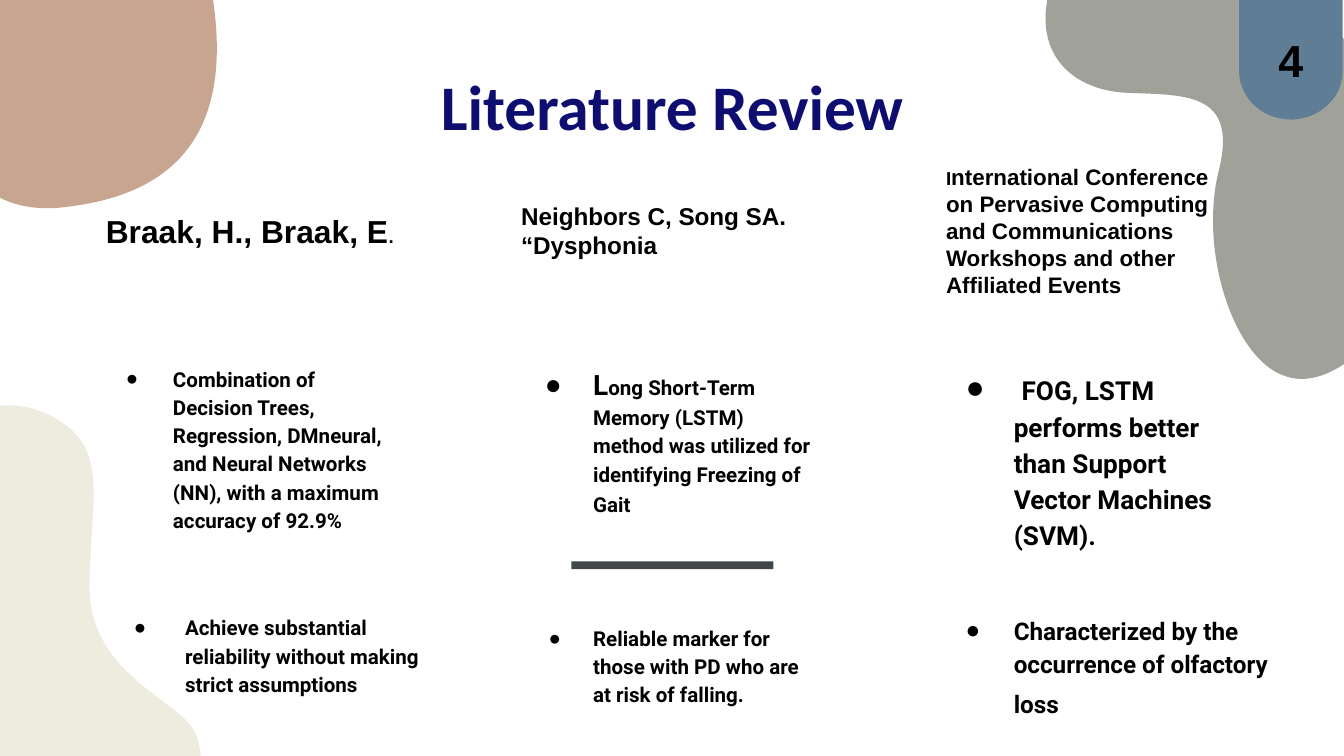
"""Build the literature review slide: three papers, each with a heading and findings."""
from dataclasses import dataclass
from math import cos, radians, sin

from lxml.etree import SubElement
from pptx import Presentation
from pptx.dml.color import RGBColor
from pptx.enum.shapes import MSO_SHAPE as Shape
from pptx.enum.text import MSO_ANCHOR as Anchor, MSO_AUTO_SIZE as AutoSize, PP_ALIGN as Align
from pptx.oxml.ns import qn
from pptx.util import Cm, Pt

Point = tuple[float, float]
UNITS = 1000
SCALE = Cm(2.54) / UNITS


@dataclass
class Run:
    text: str
    size: float
    bold: bool = True


@dataclass
class Box:
    x: float
    y: float
    w: float
    h: float
    runs: list[Run]
    hang: float = 0


@dataclass
class Outline:
    fill: str
    start: Point
    segments: list[tuple[Point, ...]]
    rotation: float = 0
    centre: Point = (0, 0)


BLOBS = [
    Outline("EDECDF", (1.46, 5.45), [
        ((1.35, 5.2), (0.66, 5.02), (0.67, 4.34)),
        ((0.68, 3.66), (0.84, 3.28), (0.32, 3.06)),
        ((-0.2, 2.84), (-0.59, 3.42), (-0.98, 3.32)),
        ((-1.37, 3.23), (-2.51, 3.64), (-1.68, 4.63)),
        ((-0.85, 5.61), (0.32, 6.26), (0.91, 6.2)),
        ((1.51, 6.13), (1.56, 5.71), (1.46, 5.45))], 41.1, (-0.06, 4.4)),
    Outline("A0A299", (8.38, 0.69), [
        ((8.8, 0.71), (9.22, 0.67), (9.07, 1.27)),
        ((8.92, 1.87), (9.18, 2.68), (9.57, 2.8)),
        ((9.97, 2.93), (10.31, 2.36), (10.71, 2.22)),
        ((11.11, 2.08), (11.73, 2.55), (11.89, 1.98)),
        ((12.05, 1.41), (11.55, 0.26), (10.97, 0.56)),
        ((10.39, 0.85), (10.03, 0.32), (9.63, -0.12)),
        ((9.23, -0.56), (8.17, -0.89), (7.88, -0.27)),
        ((7.6, 0.36), (7.96, 0.67), (8.38, 0.69))], 252.8, (9.82, 0.87)),
    Outline("C8A591", (0.73, -0.81), [
        ((0.66, -0.81), (0.58, -0.8), (0.5, -0.8)),
        ((-0.18, -0.72), (-0.5, -0.19), (-0.5, 0.44)),
        ((-0.4, 1.16), (-0.18, 1.55), (0.36, 1.55)),
        ((0.43, 1.55), (0.5, 1.54), (0.57, 1.53)),
        ((1.24, 1.43), (1.73, 1.05), (1.59, 0.03)),
        ((1.51, -0.56), (1.25, -0.81), (0.73, -0.81))]),
]
BADGE = Outline("5F7D95", (9.48, 0.87), [
    ((9.52, 0.88), (9.56, 0.89), (9.61, 0.89)),
    ((9.65, 0.89), (9.69, 0.88), (9.73, 0.87)),
    ((9.88, 0.82), (9.99, 0.69), (9.99, 0.53)),
    ((9.99, 0),), ((9.22, 0),), ((9.22, 0.53),),
    ((9.22, 0.69), (9.33, 0.82), (9.48, 0.87))])

HEADINGS = [
    Box(1.75, 3.51, 6.02, 1.7, [Run("Braak, H., Braak, E", 17), Run(".", 10)]),
    Box(9.6, 3.51, 6.02, 1.7, [Run("Neighbors C, Song SA. “Dysphonia", 13)]),
    Box(17.63, 3.51, 6.02, 1.7, [Run("I", 10), Run(
        "nternational Conference on Pervasive Computing and Communications "
        "Workshops and other Affiliated Events", 12)]),
]
FINDINGS = [
    Box(1.75, 6.61, 6.02, 3.48, [Run(
        "Combination of Decision Trees, Regression, DMneural, and Neural "
        "Networks (NN), with a maximum accuracy of 92.9%", 11)], 0.89),
    Box(9.69, 6.61, 6.02, 3.99, [Run("L", 15), Run(
        "ong Short-Term Memory (LSTM) method was utilized for identifying "
        "Freezing of Gait", 11), Run(" ", 12, False)], 0.91),
    Box(17.64, 6.61, 6.02, 3.99, [Run(" ", 17, False), Run(
        "FOG, LSTM performs better than Support Vector Machines (SVM).", 14)], 0.91),
    Box(1.98, 11.31, 6.63, 2.16, [Run(
        "Achieve substantial reliability without making strict assumptions", 11)], 0.97),
    Box(9.69, 11.51, 6.02, 1.96, [Run(
        "Reliable marker for those with PD who are at risk of falling.", 11)], 0.84),
    Box(17.64, 11.31, 6.63, 2.16, [Run(
        "Characterized by the occurrence of olfactory loss", 13), Run(" ", 16)], 0.91),
]


def rgb(color: str) -> RGBColor:
    """Turn a hex string into a colour."""
    return RGBColor.from_string(color)


def paint(sp, color: str) -> None:
    """Give a shape a flat fill with no line or shadow."""
    sp.shadow.inherit = False
    sp.fill.solid()
    sp.fill.fore_color.rgb = rgb(color)
    sp.line.fill.background()


def unrotate(point: Point, outline: Outline) -> Point:
    """Return a point in path units as it lies before the outline is rotated."""
    a, (cx, cy) = radians(outline.rotation), outline.centre
    dx, dy = point[0] - cx, point[1] - cy
    return ((cx + dx * cos(a) + dy * sin(a)) * UNITS,
            (cy - dx * sin(a) + dy * cos(a)) * UNITS)


def draw_outline(s, outline: Outline):
    """Draw a closed outline of straight lines and cubic curves."""
    points = [unrotate(p, outline) for segment in outline.segments for p in segment]
    builder = s.shapes.build_freeform(*unrotate(outline.start, outline), scale=SCALE)
    builder.add_line_segments(points, close=True)
    sp = builder.convert_to_shape()
    path = next(sp._element.iter(qn("a:path")))
    lines = iter(path.findall(qn("a:lnTo")))
    for segment in outline.segments:
        node = SubElement(path, qn("a:cubicBezTo" if len(segment) == 3 else "a:lnTo"))
        for _ in segment:
            line = next(lines)
            node.append(line[0])
            path.remove(line)
    path.append(path.find(qn("a:close")))
    sp.rotation = outline.rotation
    paint(sp, outline.fill)
    return sp


def place(sp, x: float, y: float, w: float, h: float) -> None:
    """Move and size a shape in centimetres."""
    sp.left, sp.top, sp.width, sp.height = Cm(x), Cm(y), Cm(w), Cm(h)


def set_frame(tf, anchor, inset: float = 0.25) -> None:
    """Set wrapping, anchor and even insets."""
    tf.word_wrap, tf.auto_size, tf.vertical_anchor = True, AutoSize.NONE, anchor
    tf.margin_left = tf.margin_right = tf.margin_top = tf.margin_bottom = Cm(inset)


def add_text(p, text: str, *, size: float, font: str = "Arial",
             color: str = "000000", bold: bool = True) -> None:
    """Add one formatted run to a paragraph."""
    r = p.add_run()
    r.text = text
    r.font.size, r.font.name, r.font.bold = Pt(size), font, bold
    r.font.color.rgb = rgb(color)


def add_bullet(p, hang: float) -> None:
    """Give a paragraph a round black bullet with a hanging indent."""
    pPr = p._p.get_or_add_pPr()
    pPr.set("marL", str(Cm(1.27)))
    pPr.set("indent", str(-Cm(hang)))
    SubElement(SubElement(pPr, qn("a:buClr")), qn("a:srgbClr")).set("val", "000000")
    SubElement(pPr, qn("a:buFont")).set("typeface", "Arial")
    SubElement(pPr, qn("a:buChar")).set("char", "●")


def draw_box(s, box: Box) -> None:
    """Draw a heading, or a bulleted finding when the box has a hanging indent."""
    sp = s.shapes.add_textbox(Cm(box.x), Cm(box.y), Cm(box.w), Cm(box.h))
    set_frame(sp.text_frame, Anchor.TOP if box.hang else Anchor.MIDDLE)
    p = sp.text_frame.paragraphs[0]
    if box.hang:
        p.line_spacing, p.space_before = 1.15, Pt(15)
        add_bullet(p, box.hang)
    else:
        p.space_before = p.space_after = Pt(8)
    for run in box.runs:
        add_text(p, run.text, size=run.size, bold=run.bold,
                 font="Roboto" if box.hang else "Arial")


def main() -> None:
    """Build and save the slide."""
    prs = Presentation()
    prs.slide_width, prs.slide_height = Cm(25.4), Cm(14.29)
    s = prs.slides.add_slide(prs.slide_layouts[5])
    for blob in BLOBS:
        draw_outline(s, blob)
    title = s.shapes.title
    place(title, 1.98, 0.7, 21.44, 2.26)
    set_frame(title.text_frame, Anchor.BOTTOM)
    p = title.text_frame.paragraphs[0]
    p.alignment = Align.CENTER
    add_text(p, "Literature Review", size=34, font="Calibri", color="0E0E70")
    bar = s.shapes.add_shape(Shape.RECTANGLE, Cm(10.8), Cm(10.61), Cm(3.82), Cm(0.15))
    paint(bar, "40474B")
    for box in HEADINGS + FINDINGS:
        draw_box(s, box)
    badge = draw_outline(s, BADGE)
    set_frame(badge.text_frame, Anchor.MIDDLE, 0.13)
    p = badge.text_frame.paragraphs[0]
    p.alignment = Align.CENTER
    add_text(p, "4", size=24)
    prs.save("out.pptx")


if __name__ == "__main__":
    main()
